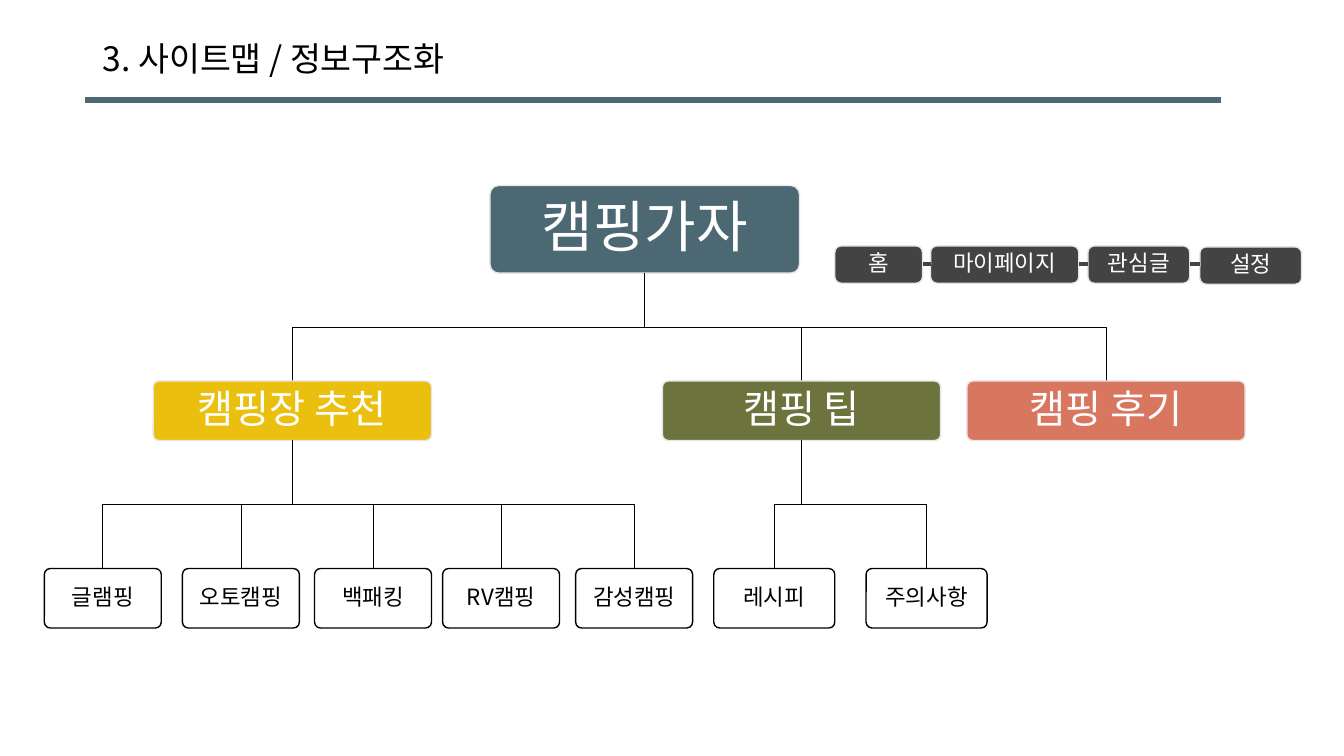
"""Build the site map slide of a camping service."""
from dataclasses import dataclass
from lxml.etree import SubElement
from pptx import Presentation
from pptx.dml.color import RGBColor as RGB
from pptx.enum.shapes import MSO_CONNECTOR as CONN, MSO_SHAPE as SHAPE
from pptx.enum.text import MSO_ANCHOR as ANCHOR, PP_ALIGN as ALIGN
from pptx.oxml.ns import qn
from pptx.util import Inches, Pt


@dataclass(frozen=True)
class Theme:
    font: str = "Noto Sans CJK KR"
    root_font: str = "Arial"
    teal: str = "4C6873"
    yellow: str = "EBBF0E"
    green: str = "6C733D"
    coral: str = "D9765F"
    dark: str = "434343"
    pale: str = "E7E6E6"
    black: str = "000000"
    white: str = "FFFFFF"
    title_size: int = 24
    root_size: int = 40
    branch_size: int = 28
    small_size: int = 16


T = Theme()
TITLE = "3. 사이트맵 / 정보구조화"
ROOT = ("캠핑가자", 4.86)
BRANCHES = [
    ("캠핑장 추천", 1.52, T.yellow, 1.16,
     [("글램핑", 0.44), ("오토캠핑", 1.81), ("백패킹", 3.12), ("RV캠핑", 4.39), ("감성캠핑", 5.71)]),
    ("캠핑 팁", 6.57, T.green, 1.2, [("레시피", 7.08), ("주의사항", 8.59)]),
    ("캠핑 후기", 9.59, T.coral, 0, []),
]
MENU = [("홈", 8.28, 2.44, 0.87), ("마이페이지", 9.23, 2.44, 1.47),
        ("관심글", 10.79, 2.44, 1.01), ("설정", 11.9, 2.45, 1.01)]
ROOT_TOP, ROOT_W, ROOT_H = 1.84, 3.07, 0.87
BRANCH_TOP, BRANCH_W, BRANCH_H = 3.78, 2.76, 0.59
LEAF_TOP, LEAF_H = 5.64, 0.59
MENU_H, MENU_LINK_Y = 0.37, 2.62


def write(sp, text, *, size, color, font=T.font, align=ALIGN.CENTER, inset=None, after=0.35):
    tf = sp.text_frame
    tf.word_wrap = True
    tf.vertical_anchor = ANCHOR.MIDDLE
    if inset is not None:
        tf.margin_left = tf.margin_right = tf.margin_top = tf.margin_bottom = Inches(inset)
    p = tf.paragraphs[0]
    p.alignment, p.line_spacing, p.space_after = align, 0.9, Pt(size * after)
    r = p.add_run()
    r.text = text
    r.font.size, r.font.name = Pt(size), font
    r.font.color.rgb = RGB.from_string(color)
    SubElement(r.font._element, qn("a:ea"), typeface=T.font)


def box(s, text, left, top, width, height, *, fill, line=T.pale, corner=0.1, **fmt):
    sp = s.shapes.add_shape(SHAPE.ROUNDED_RECTANGLE, *map(Inches, (left, top, width, height)))
    sp.adjustments[0] = corner
    sp.shadow.inherit = False
    sp.fill.solid()
    sp.fill.fore_color.rgb = RGB.from_string(fill)
    sp.line.color.rgb = RGB.from_string(line)
    sp.line.width = Pt(1)
    write(sp, text, **fmt)


def elbow(s, x1, y1, x2, y2):
    mid = (y1 + y2) / 2
    corners = [(x1, y1), (x1, mid), (x2, mid), (x2, y2)]
    start, *rest = [(Inches(x), Inches(y)) for x, y in corners]
    fb = s.shapes.build_freeform(*start)
    fb.add_line_segments(rest, close=False)
    sp = fb.convert_to_shape()
    sp.shadow.inherit = False
    sp.fill.background()
    sp.line.color.rgb = RGB.from_string(T.black)
    sp.line.width = Pt(0.5)


def rule(s, x1, x2, y, color, width):
    ln = s.shapes.add_connector(CONN.STRAIGHT, Inches(x1), Inches(y), Inches(x2), Inches(y))
    ln.line.color.rgb = RGB.from_string(color)
    ln.line.width = Pt(width)
    SubElement(ln._element.spPr, qn("a:effectLst"))


def site_map(s):
    name, left = ROOT
    root_x = left + ROOT_W / 2
    box(s, name, left, ROOT_TOP, ROOT_W, ROOT_H, fill=T.teal,
        size=T.root_size, color=T.white, font=T.root_font, inset=0.17)
    for name, left, color, leaf_w, leaves in BRANCHES:
        branch_x = left + BRANCH_W / 2
        elbow(s, root_x, ROOT_TOP + ROOT_H, branch_x, BRANCH_TOP)
        box(s, name, left, BRANCH_TOP, BRANCH_W, BRANCH_H, fill=color,
            size=T.branch_size, color=T.white, inset=0.12)
        for leaf, leaf_left in leaves:
            elbow(s, branch_x, BRANCH_TOP + BRANCH_H, leaf_left + leaf_w / 2, LEAF_TOP)
            box(s, leaf, leaf_left, LEAF_TOP, leaf_w, LEAF_H, fill=T.white, line=T.black,
                size=T.small_size, color=T.black, inset=0.07)


def menu(s):
    for name, left, top, width in MENU:
        box(s, name, left, top, width, MENU_H, fill=T.dark, corner=0.17,
            size=T.small_size, color=T.white, inset=0.12)
    for (_, left, _, width), (_, following, _, _) in zip(MENU, MENU[1:]):
        rule(s, left + width, following, MENU_LINK_Y, T.dark, 3)


def main():
    prs = Presentation()
    prs.slide_width, prs.slide_height = Inches(13.33), Inches(7.5)
    s = prs.slides.add_slide(prs.slide_layouts[6])
    title = s.shapes.add_textbox(Inches(0.92), Inches(0.37), Inches(11.5), Inches(0.46))
    write(title, TITLE, size=T.title_size, color=T.black, align=ALIGN.LEFT, after=0)
    site_map(s)
    rule(s, 0.84, 12.11, 0.99, T.teal, 4.5)
    menu(s)
    prs.save("out.pptx")


if __name__ == "__main__":
    main()
